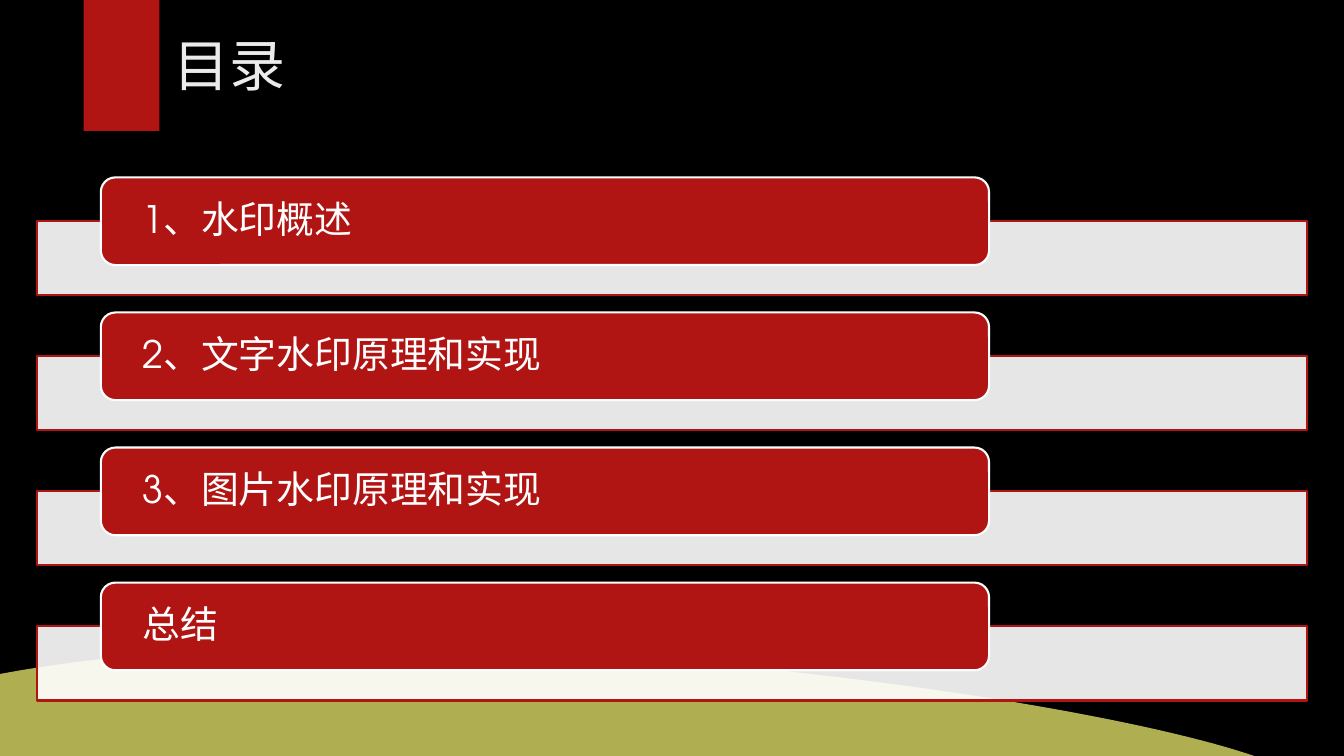
"""Build the contents slide: a title and four agenda entries on pale bars."""
from lxml import etree
from pptx import Presentation
from pptx.dml.color import RGBColor
from pptx.enum.shapes import MSO_SHAPE
from pptx.enum.text import MSO_ANCHOR, PP_ALIGN
from pptx.oxml.ns import qn
from pptx.util import Inches, Pt

RECTANGLE, ROUNDED = MSO_SHAPE.RECTANGLE, MSO_SHAPE.ROUNDED_RECTANGLE
MIDDLE, LEFT = MSO_ANCHOR.MIDDLE, PP_ALIGN.LEFT
RED, WHITE, OLIVE = "B01513", "FFFFFF", "AFAF51"
ENTRIES = ["1、水印概述", "2、文字水印原理和实现", "3、图片水印原理和实现", "总结"]
FIRST_TOP, ROW_PITCH, BAR_DROP = 1.76, 1.34, 0.43
HILL_CURVE = [(-0.02, 6.69), (3.82, 5.96), (10.54, 6.84), (12.47, 7.51)]
HILL_STEPS = 60


def paint(shape, fill, line=None):
    """Give a shape a flat fill and an optional outline."""
    shape.shadow.inherit = False
    shape.fill.solid()
    shape.fill.fore_color.rgb = RGBColor.from_string(fill)
    if line:
        shape.line.color.rgb = RGBColor.from_string(line)
        shape.line.width = Pt(1.5)
    else:
        shape.line.fill.background()


def write(shape, text, size, font, color, inset):
    """Set one left-aligned, vertically centred line of text."""
    frame = shape.text_frame
    frame.word_wrap = True
    frame.vertical_anchor = MIDDLE
    frame.margin_left = frame.margin_right = Inches(inset)
    paragraph = frame.paragraphs[0]
    paragraph.text = text
    paragraph.alignment = LEFT
    paragraph.font.size = Pt(size)
    paragraph.font.name = font
    paragraph.font.color.rgb = RGBColor.from_string(color)
    return paragraph


deck = Presentation()
deck.slide_width, deck.slide_height = Inches(13.33), Inches(7.5)
slide = deck.slides.add_slide(deck.slide_layouts[6])
slide.background.fill.solid()
slide.background.fill.fore_color.rgb = RGBColor.from_string("000000")
shapes = slide.shapes

ribbon = shapes.add_shape(RECTANGLE, Inches(0.83), 0, Inches(0.75), Inches(1.3))
paint(ribbon, RED)

outline = []
for step in range(HILL_STEPS + 1):
    t = step / HILL_STEPS
    weights = ((1 - t) ** 3, 3 * t * (1 - t) ** 2, 3 * t**2 * (1 - t), t**3)
    outline.append(tuple(
        Inches(sum(weight * point[axis] for weight, point in zip(weights, HILL_CURVE)))
        for axis in (0, 1)))
outline.append((outline[0][0], outline[-1][1]))
builder = shapes.build_freeform(*outline[0])
builder.add_line_segments(outline[1:], close=True)
hill = builder.convert_to_shape()
paint(hill, OLIVE)

for row, entry in enumerate(ENTRIES):
    top = FIRST_TOP + row * ROW_PITCH
    bar = shapes.add_shape(RECTANGLE, Inches(0.37), Inches(top + BAR_DROP),
                           Inches(12.59), Inches(0.74))
    paint(bar, WHITE, RED)
    bar_color = bar.fill._xPr.find(qn("a:solidFill"))[0]
    etree.SubElement(bar_color, qn("a:alpha"), val="90000")

    label = shapes.add_shape(ROUNDED, Inches(1), Inches(top), Inches(8.81), Inches(0.87))
    paint(label, RED, WHITE)
    line = write(label, entry, 27, "TeX Gyre Adventor", WHITE, 0.37)
    line.line_spacing = 0.9

title = shapes.add_textbox(Inches(1.62), 0, Inches(11.33), Inches(1.27))
write(title, "目录", 40, "Noto Sans CJK SC", "EBEBEB", 0.1)

deck.save("out.pptx")
